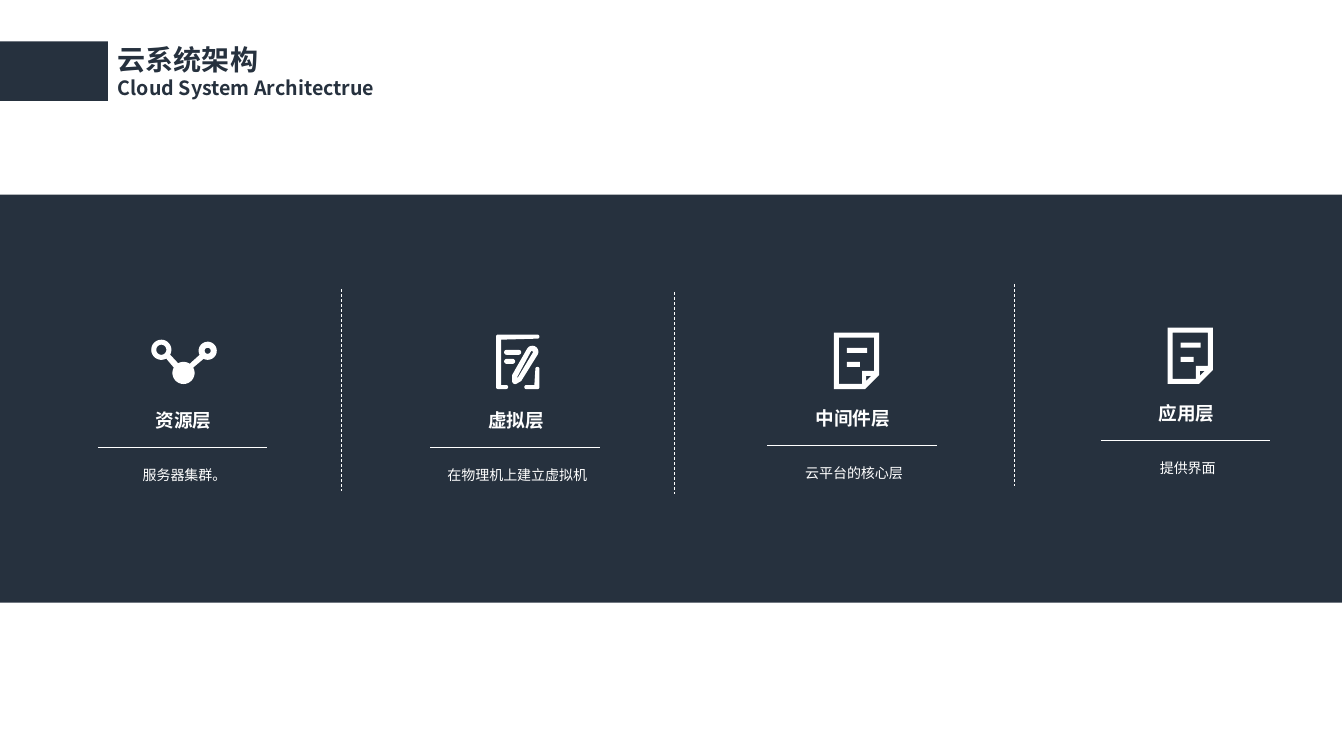
import math

import pptx
import pptx.dml.color
import pptx.enum.dml
import pptx.enum.shapes
import pptx.enum.text
import pptx.oxml
import pptx.oxml.ns
import pptx.util
from pptx.util import Inches

NAVY, WHITE = "26313E", "FFFFFF"
FONT = "Noto Sans CJK SC"
KIND = pptx.enum.shapes.MSO_SHAPE
DASH = pptx.enum.dml.MSO_LINE.DASH
CENTER = pptx.enum.text.PP_ALIGN.CENTER
GROW = pptx.enum.text.MSO_AUTO_SIZE.SHAPE_TO_FIT_TEXT


def color(code):
    return pptx.dml.color.RGBColor.from_string(code)


def apply(item, values):
    for name, value in values.items():
        setattr(item, name, value)


def paint(shape, code):
    shape.shadow.inherit = False
    shape.fill.solid()
    shape.fill.fore_color.rgb = color(code)
    shape.line.fill.background()


def block(shapes, x, y, w, h, code, kind=KIND.RECTANGLE):
    shape = shapes.add_shape(kind, Inches(x), Inches(y), Inches(w), Inches(h))
    paint(shape, code)
    return shape


def line(shapes, x1, y1, x2, y2, width, dash=None):
    rule = shapes.add_connector(pptx.enum.shapes.MSO_CONNECTOR.STRAIGHT,
                                Inches(x1), Inches(y1), Inches(x2), Inches(y2))
    rule.line.color.rgb = color(WHITE)
    apply(rule.line, {"width": pptx.util.Pt(width), "dash_style": dash})
    props = rule._element.spPr
    props.append(pptx.oxml.parse_xml(
        "<a:effectLst %s/>" % pptx.oxml.ns.nsdecls("a")))


def text(shapes, x, y, w, h, rows, code, align=None, wrap=True, inset=None):
    """Each row is (words, size, bold)."""
    frame = shapes.add_textbox(Inches(x), Inches(y), Inches(w), Inches(h)).text_frame
    apply(frame, {"word_wrap": wrap, "auto_size": GROW})
    if inset is not None:
        sides = ("left", "top", "right", "bottom")
        apply(frame, {"margin_" + side: Inches(inset) for side in sides})
    for i, (words, size, bold) in enumerate(rows):
        para = frame.add_paragraph() if i else frame.paragraphs[0]
        para.alignment = align
        run = para.add_run()
        run.text = words
        apply(run.font, {"name": FONT, "size": pptx.util.Pt(size), "bold": bold})
        run.font.color.rgb = color(code)
        east = pptx.oxml.parse_xml('<a:ea %s typeface="%s"/>'
                                   % (pptx.oxml.ns.nsdecls("a"), FONT))
        run.font._element.append(east)


def arc(x, y, r=0, start=0, stop=0):
    """Points along an arc; a sharp corner has no radius."""
    steps = math.ceil(abs(stop - start) / 12)
    turns = [math.radians(start + (stop - start) * i / max(steps, 1))
             for i in range(steps + 1)]
    return [(x + r * math.cos(t), y + r * math.sin(t)) for t in turns]


def outline(shapes, x, y, loops):
    """One filled form; each loop is a list of arcs relative to x, y."""
    build = None
    for loop in loops:
        points = [(Inches(x + px), Inches(y + py))
                  for part in loop for px, py in arc(*part)]
        if build is None:
            build = shapes.build_freeform(*points[0])
        else:
            build.move_to(*points[0])
        build.add_line_segments(points[1:], close=True)
    paint(build.convert_to_shape(), WHITE)


# Icons, placed from their top left corner
def nodes(shapes, x, y):
    outline(shapes, x, y, [
        [(0.1, 0.1, 0.1, 61, 389), (0.32, 0.33, 0.11, -119, -56),
         (0.56, 0.11, 0.09, 153, 477), (0.32, 0.33, 0.11, -29, 209)],
        [(0.1, 0.1, 0.05, 0, 360)],
        [(0.56, 0.11, 0.03, 0, 360)]])


def draft(shapes, x, y):
    # Page frame in two parts
    outline(shapes, x, y, [[
        (0.41, 0.02, 0.02, -90, 90), (0.05, 0.05), (0.05, 0.5),
        (0.1, 0.52, 0.02, -90, 90), (0.02, 0.52, 0.02, 90, 180),
        (0.02, 0.02, 0.02, 180, 270)]])
    outline(shapes, x, y, [[
        (0.41, 0.34, 0.02, 180, 360), (0.41, 0.52, 0.02, 0, 90),
        (0.3, 0.52, 0.02, 90, 270), (0.38, 0.5)]])
    # Pen
    outline(shapes, x, y, [
        [(0.36, 0.17, 0.06, 210, 390), (0.25, 0.46),
         (0.19, 0.46, 0.03, 60, 180), (0.16, 0.4)],
        [(0.37, 0.17), (0.22, 0.42), (0.21, 0.43), (0.21, 0.42), (0.35, 0.16)]])
    # Written lines
    for top, width in ((0.15, 0.17), (0.24, 0.11)):
        bar = block(shapes, x + 0.08, y + top, width, 0.05, WHITE,
                    KIND.ROUNDED_RECTANGLE)
        bar.adjustments[0] = 0.5


def sheet(shapes, x, y):
    outline(shapes, x, y, [
        [(0, 0), (0, 0.56), (0.31, 0.56), (0.45, 0.42), (0.45, 0)],
        [(0.05, 0.05), (0.4, 0.05), (0.4, 0.38), (0.28, 0.38),
         (0.28, 0.51), (0.05, 0.51)],
        [(0.37, 0.43), (0.32, 0.48), (0.32, 0.43)]])
    for top, width in ((0.15, 0.2), (0.29, 0.13)):
        block(shapes, x + 0.13, y + top, width, 0.05, WHITE)


def layer(shapes, x, y, icon, shift, title, note):
    """A column hung on its rule, which starts at x, y."""
    group = shapes.add_group_shape().shapes
    icon(group, x + shift[0], y + shift[1])
    width = 0.2 + 0.19 * len(title)
    text(group, x + 0.85 - width / 2, y - 0.43, width, 0.33,
         [(title, 13.3, True)], WHITE, CENTER, wrap=False)
    text(group, x - 0.19, y + 0.19, 2.1, 0.17,
         [(note, 10, False)], WHITE, CENTER, inset=0)
    line(group, x, y, x + 1.68, y, 1)


def main():
    deck = pptx.Presentation()
    apply(deck, {"slide_width": Inches(13.33), "slide_height": Inches(7.5)})
    shapes = deck.slides.add_slide(deck.slide_layouts[6]).shapes

    # Band and heading
    block(shapes, 0, 1.93, 13.31, 4.05, NAVY)
    block(shapes, 0, 0.41, 1.07, 0.59, NAVY)
    text(shapes, 1.07, 0.37, 4.39, 0.67,
         [("云系统架构", 20, True), ("Cloud System Architectrue", 14, True)], NAVY)

    # Four layers
    for column in (
            (0.97, 4.44, nodes, (0.53, -1.07), "资源层", "服务器集群。"),
            (4.27, 4.44, draft, (0.65, -1.12), "虚拟层", "在物理机上建立虚拟机"),
            (7.61, 4.42, sheet, (0.66, -1.12), "中间件层", "云平台的核心层"),
            (10.92, 4.37, sheet, (0.66, -1.12), "应用层", "提供界面")):
        layer(shapes, *column)

    # Dashed dividers
    for x, y in ((3.39, 2.87), (6.69, 2.9), (10.06, 2.82)):
        line(shapes, x, y, x, y + 2, 0.5, DASH)

    deck.save("out.pptx")


if __name__ == "__main__":
    main()
